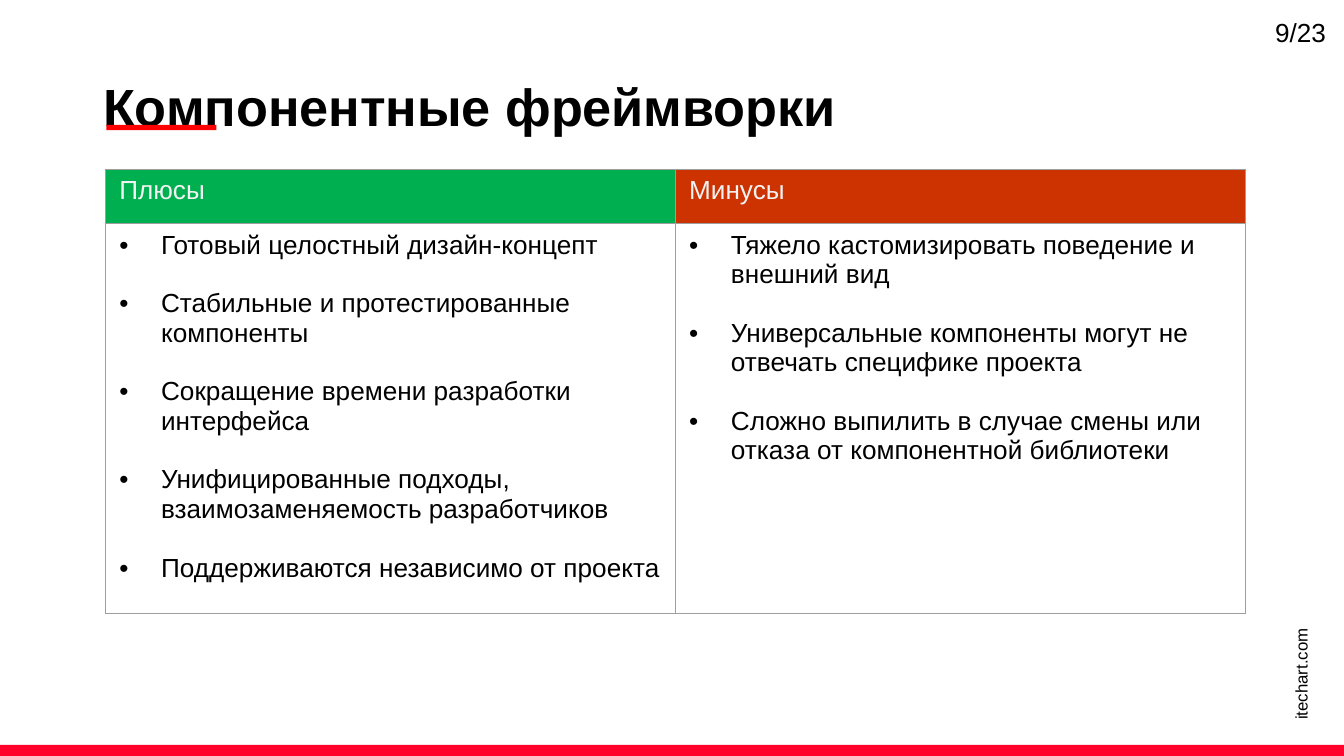
from lxml import etree
from pptx import Presentation
from pptx.dml.color import RGBColor
from pptx.enum import shapes, text
from pptx.oxml.ns import qn
from pptx.util import Cm, Pt

BLACK = RGBColor(0, 0, 0)
WHITE = RGBColor(255, 255, 255)
PALE = RGBColor(0xF2, 0xF2, 0xF2)
GREY = RGBColor(0x9E, 0x9E, 0x9E)
GREEN = RGBColor(0x00, 0xB0, 0x50)
RUST = RGBColor(0xCC, 0x33, 0x00)
RED = RGBColor(0xFF, 0x00, 0x00)
CRIMSON = RGBColor(0xFF, 0x01, 0x2A)


def style(par, size, color, bold=False):
    for run in par.runs:
        font = run.font
        font.name, font.size, font.bold = "Arial", Pt(size), bold
        font.color.rgb = color


def edge(cell):
    """Draw a thin grey border on all four sides of a cell."""
    props = cell._tc.get_or_add_tcPr()
    for spot, side in enumerate(("lnL", "lnR", "lnT", "lnB")):
        line = etree.Element(qn("a:" + side), w=str(Pt(0.75)))
        fill = etree.SubElement(line, qn("a:solidFill"))
        etree.SubElement(fill, qn("a:srgbClr"), val=str(GREY))
        props.insert(spot, line)


deck = Presentation()
deck.slide_width, deck.slide_height = Cm(25.4), Cm(14.29)
slide = deck.slides.add_slide(deck.slide_layouts[6])

# Title, site address and page number
labels = [
    ("Компонентные фреймворки", (1.7, 0.81, 20.24, 1.78), 28, True, 0.6, 0, True),
    ("itechart.com", (23.04, 11.48, 3.48, 1.27), 9, False, 0.25, 270, True),
    ("9/23", (23.85, 0.18, 1.47, 0.86), 14, False, 0.13, 0, False),
]
for words, place, size, bold, top, turn, wrap in labels:
    box = slide.shapes.add_textbox(*map(Cm, place))
    box.rotation = turn
    frame = box.text_frame
    frame.word_wrap = wrap
    frame.vertical_anchor = text.MSO_ANCHOR.TOP
    frame.margin_top, frame.margin_bottom = Cm(top), 0
    frame.text = words
    style(frame.paragraphs[0], size, BLACK, bold)

# Title underline and bottom strip
for place, color in [((2.01, 2.36, 2.08, 0.1), RED),
                     ((0, 14.08, 25.4, 0.21), CRIMSON)]:
    bar = slide.shapes.add_shape(shapes.MSO_SHAPE.RECTANGLE, *map(Cm, place))
    bar.shadow.inherit = False
    bar.fill.solid()
    bar.fill.fore_color.rgb = color
    bar.line.fill.background()

# Pros and cons
sides = [
    ("Плюсы", GREEN, [
        "Готовый целостный дизайн-концепт",
        "Стабильные и протестированные компоненты",
        "Сокращение времени разработки интерфейса",
        "Унифицированные подходы, взаимозаменяемость разработчиков",
        "Поддерживаются независимо от проекта",
    ]),
    ("Минусы", RUST, [
        "Тяжело кастомизировать поведение и внешний вид",
        "Универсальные компоненты могут не отвечать специфике проекта",
        "Сложно выпилить в случае смены или отказа от компонентной библиотеки",
    ]),
]
table = slide.shapes.add_table(2, 2, Cm(2), Cm(3.2), Cm(21.54), Cm(8.4)).table
table.first_row = table.horz_banding = False
table.rows[0].height, table.rows[1].height = Cm(1.03), Cm(7.37)

for col, (name, color, points) in enumerate(sides):
    head, body = table.cell(0, col), table.cell(1, col)
    for cell, fill in ((head, color), (body, WHITE)):
        cell.fill.solid()
        cell.fill.fore_color.rgb = fill
        edge(cell)
    head.text = name
    style(head.text_frame.paragraphs[0], 14, PALE)

    body.text = "\n".join(points)
    for row, par in enumerate(body.text_frame.paragraphs):
        if row:
            par.space_before = Pt(15.7)
        props = par._p.get_or_add_pPr()
        props.set("marL", str(Cm(0.79)))
        props.set("indent", str(-Cm(0.79)))
        tint = etree.SubElement(props, qn("a:buClr"))
        etree.SubElement(tint, qn("a:srgbClr"), val=str(BLACK))
        etree.SubElement(props, qn("a:buFont"), typeface="Arial")
        etree.SubElement(props, qn("a:buChar"), char="•")
        style(par, 14, BLACK)

deck.save("out.pptx")
